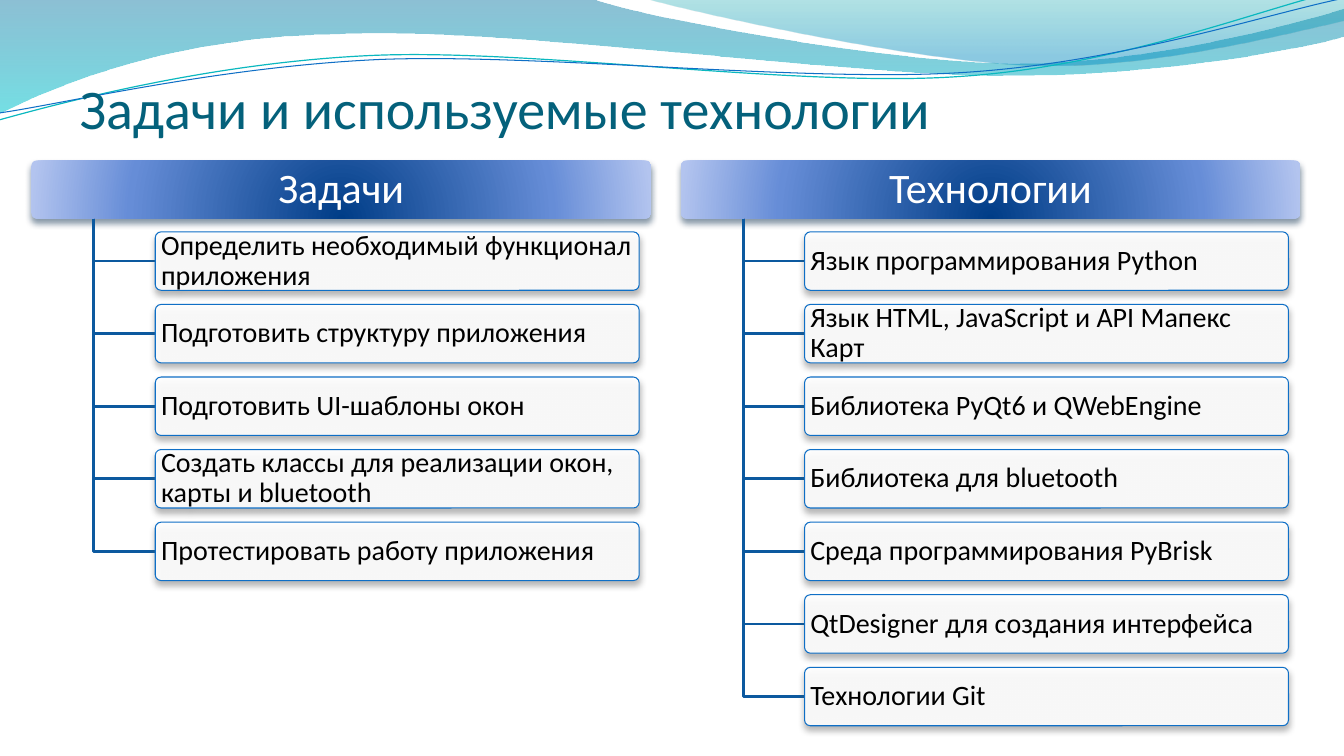
from lxml import etree
from pptx import Presentation
from pptx.dml.color import RGBColor
from pptx.enum import shapes, text
from pptx.oxml import ns
from pptx.util import Inches, Pt

FONT = "Calibri"
BAR_HEIGHT, ROW_STEP, HEADER_TOP, FIRST_ITEM_TOP = 0.58, 0.72, 1.59, 2.3
COLUMNS = [
    (0.31, "Задачи", [
        "Определить необходимый функционал приложения",
        "Подготовить структуру приложения",
        "Подготовить UI-шаблоны окон",
        "Создать классы для реализации окон, карты и bluetooth",
        "Протестировать работу приложения",
    ]),
    (6.75, "Технологии", [
        "Язык программирования Python",
        "Язык HTML, JavaScript и API Мапекс Карт",
        "Библиотека PyQt6 и QWebEngine",
        "Библиотека для bluetooth",
        "Среда программирования PyBrisk",
        "QtDesigner для создания интерфейса",
        "Технологии Git",
    ]),
]
# Each outline is a start point, then line ends (x, y) or Bézier segments of six numbers.
WAVE_BANDS = [
    ([(0, 0), (5.87, -0.01), (6.34, 0.17, 8.85, 0.63, 10.11, 0.63),
      (11.38, 0.63, 12.78, 0.26, 13.33, 0.09), (13.35, 0.36),
      (13.11, 0.44, 11.6, 0.76, 9.94, 0.75), (8.29, 0.75, 5.09, 0.28, 3.43, 0.34),
      (1.72, 0.36, 0.61, 0.83, -0.01, 1.13), (0, 0)],
     [(0, "0074A1", 45), (100, "00C6CF", 55)]),
    ([(6.39, -0.01), (6.79, 0.11, 9.09, 0.62, 10.25, 0.65),
      (11.41, 0.69, 12.82, 0.32, 13.33, 0.21), (13.33, 0), (6.39, -0.01)],
     [(0, "00A1A9", 30), (80, "008BBF", 45)]),
]
WAVE_LINES = [
    ([(-0.01, 1.19), (0.64, 1.01, 2.11, 0.62, 3.69, 0.55),
      (5.27, 0.48, 7.9, 0.87, 9.5, 0.76), (11.1, 0.66, 12.52, 0.08, 13.31, -0.1)],
     "0AB8BF", 0.85),
    ([(0, 1.12), (0.63, 1.03, 2.18, 0.66, 3.78, 0.59),
      (5.37, 0.53, 7.96, 0.82, 9.55, 0.72), (11.15, 0.62, 12.55, 0.14, 13.34, -0.02)],
     "0F6FC6", 0.75),
]
LINEAR = '<a:lin ang="5400000" scaled="0"/>'
RADIAL = ('<a:path path="circle"><a:fillToRect l="50000" t="130000" '
          'r="50000" b="-30000"/></a:path>')


def rgb(color):
    return RGBColor.from_string(color)


def drawing_xml(tag, body="", attrs=""):
    return etree.fromstring(f'<a:{tag} {ns.nsdecls("a")} {attrs}>{body}</a:{tag}>')


def color_xml(color, opacity):
    return f'<a:srgbClr val="{color}"><a:alpha val="{opacity * 1000}"/></a:srgbClr>'


def set_gradient(sp, stops, direction):
    sp.fill.background()
    body = "".join(f'<a:gs pos="{pos * 1000}">{color_xml(color, opacity)}</a:gs>'
                   for pos, color, opacity in stops)
    no_fill = sp._element.spPr.find(ns.qn("a:noFill"))
    gradient = drawing_xml("gradFill", f"<a:gsLst>{body}</a:gsLst>{direction}",
                           'rotWithShape="1"')
    no_fill.getparent().replace(no_fill, gradient)


def set_shadow(sp, color):
    sp.shadow.inherit = False
    shadow = drawing_xml("outerShdw", color_xml(color, 48),
                         f'blurRad="{Pt(4.5)}" dist="{Pt(3)}" dir="5400000" rotWithShape="0"')
    sp._element.spPr.find(ns.qn("a:effectLst")).append(shadow)


def set_line(sp, color, width):
    sp.line.color.rgb = rgb(color)
    sp.line.width = Pt(width)


def bend_segments(sp, outline):
    """Join the three line segments laid for each Bézier segment into one curve."""
    segments = sp._element.iter(ns.qn("a:lnTo"))
    remaining = list(segments)
    for segment in outline[1:]:
        count = len(segment) // 2
        group, remaining = remaining[:count], remaining[count:]
        if count == 3:
            curve = drawing_xml("cubicBezTo")
            group[0].addprevious(curve)
            for line_to in group:
                curve.append(line_to[0])
                line_to.getparent().remove(line_to)


def add_outline(slide, outline, close=False):
    points = [(Inches(segment[i]), Inches(segment[i + 1]))
              for segment in outline for i in range(0, len(segment), 2)]
    builder = slide.shapes.build_freeform(*points[0], scale=1.0)
    builder.add_line_segments(points[1:], close=close)
    sp = builder.convert_to_shape()
    bend_segments(sp, outline)
    sp.shadow.inherit = False
    return sp


def add_band(slide, outline, stops):
    sp = add_outline(slide, outline, close=True)
    set_gradient(sp, stops, LINEAR)
    sp.line.fill.background()


def add_stroke(slide, outline, color, width):
    sp = add_outline(slide, outline)
    sp.fill.background()
    set_line(sp, color, width)


def format_text(tf, content, size, color, align):
    tf.text = content
    tf.word_wrap = True
    p = tf.paragraphs[0]
    p.alignment = align
    font = p.runs[0].font
    font.name, font.size, font.color.rgb = FONT, Pt(size), rgb(color)
    return p


def add_bar(slide, left, top, width, content, size, color, align):
    sp = slide.shapes.add_shape(shapes.MSO_SHAPE.ROUNDED_RECTANGLE, Inches(left), Inches(top),
                                Inches(width), Inches(BAR_HEIGHT))
    sp.adjustments[0] = 0.1
    tf = sp.text_frame
    tf.margin_left = tf.margin_right = Inches(0.04)
    tf.margin_top = tf.margin_bottom = Inches(0.03)
    tf.vertical_anchor = text.MSO_ANCHOR.MIDDLE
    format_text(tf, content, size, color, align).line_spacing = 0.9
    return sp


def add_header(slide, left, content):
    sp = add_bar(slide, left, HEADER_TOP, 6.15, content, 30, "FFFFFF", text.PP_ALIGN.CENTER)
    set_gradient(sp, [(0, "003D87", 100), (68, "668DD7", 100), (100, "B3C4EF", 100)], RADIAL)
    sp.line.fill.background()
    set_shadow(sp, "042747")


def add_item(slide, left, top, content):
    sp = add_bar(slide, left, top, 4.8, content, 20, "000000", text.PP_ALIGN.LEFT)
    sp.fill.solid()
    sp.fill.fore_color.rgb = rgb("FFFFFF")
    fill_color = sp._element.spPr.find(ns.qn("a:solidFill"))[0]
    fill_color.append(drawing_xml("alpha", attrs='val="90000"'))
    set_line(sp, "0F6FC6", 0.75)
    set_shadow(sp, "5A5A5A")


def add_column(slide, left, heading, items):
    add_header(slide, left, heading)
    trunk, item_left = left + 0.62, left + 1.23
    for row, item in enumerate(items):
        top = FIRST_ITEM_TOP + row * ROW_STEP
        middle = top + BAR_HEIGHT / 2
        elbow = [(trunk, HEADER_TOP + BAR_HEIGHT), (trunk, middle), (item_left, middle)]
        add_stroke(slide, elbow, "0C599F", 2)
        add_item(slide, item_left, top, item)


def add_title(slide, content):
    title = slide.shapes.title
    title.left, title.top = Inches(0.79), Inches(0.15)
    title.width, title.height = Inches(12.11), Inches(1.25)
    tf = title.text_frame
    tf.margin_left = tf.margin_right = tf.margin_bottom = 0
    tf.vertical_anchor = text.MSO_ANCHOR.BOTTOM
    format_text(tf, content, 40, "04617B", text.PP_ALIGN.LEFT)
    slide.shapes._spTree.append(title._element)  # in front of the waves


def main():
    prs = Presentation()
    prs.slide_width, prs.slide_height = Inches(13.33), Inches(7.5)
    slide = prs.slides.add_slide(prs.slide_layouts[5])
    for band in WAVE_BANDS:
        add_band(slide, *band)
    for line in WAVE_LINES:
        add_stroke(slide, *line)
    for column in COLUMNS:
        add_column(slide, *column)
    add_title(slide, "Задачи и используемые технологии")
    prs.save("out.pptx")


if __name__ == "__main__":
    main()
